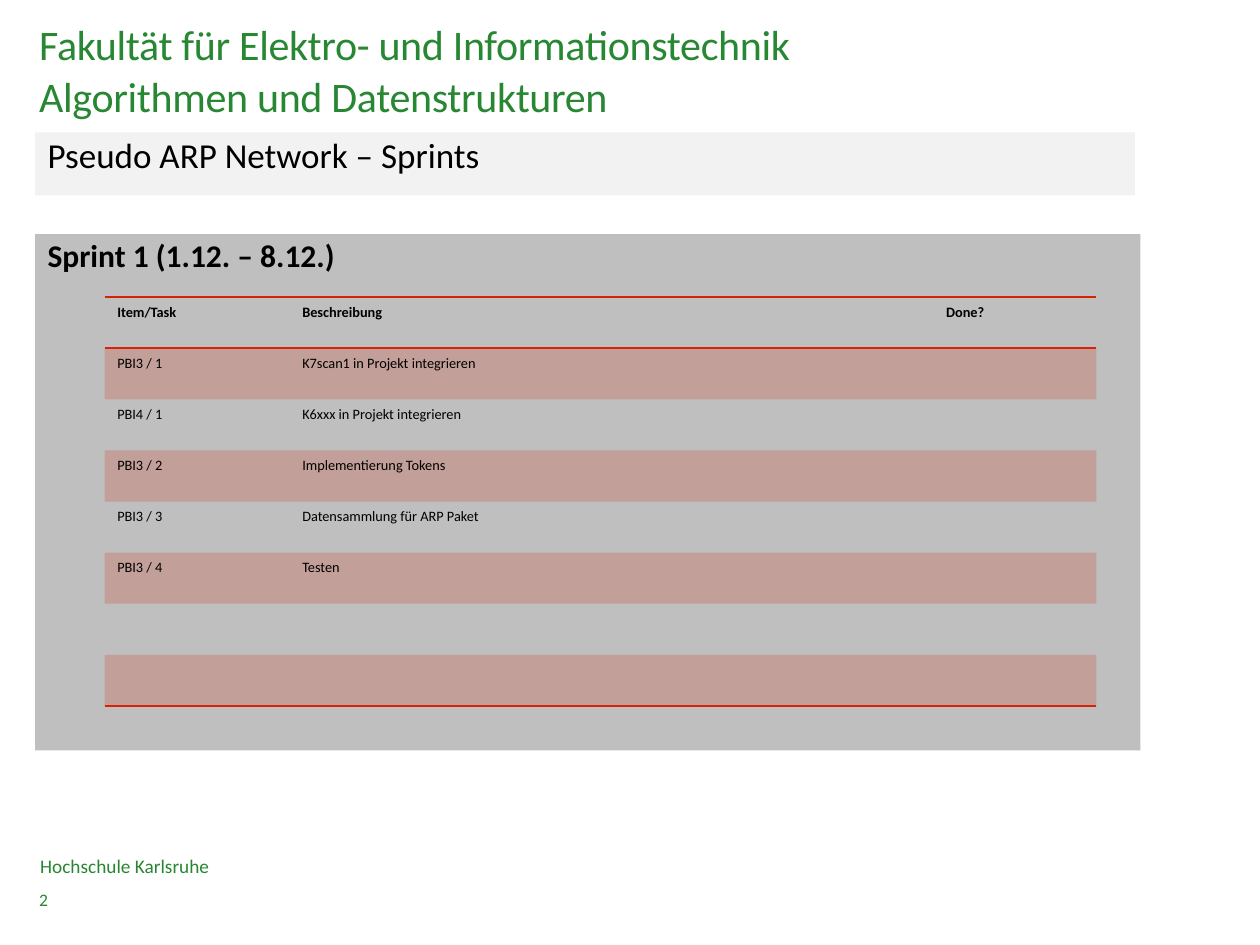
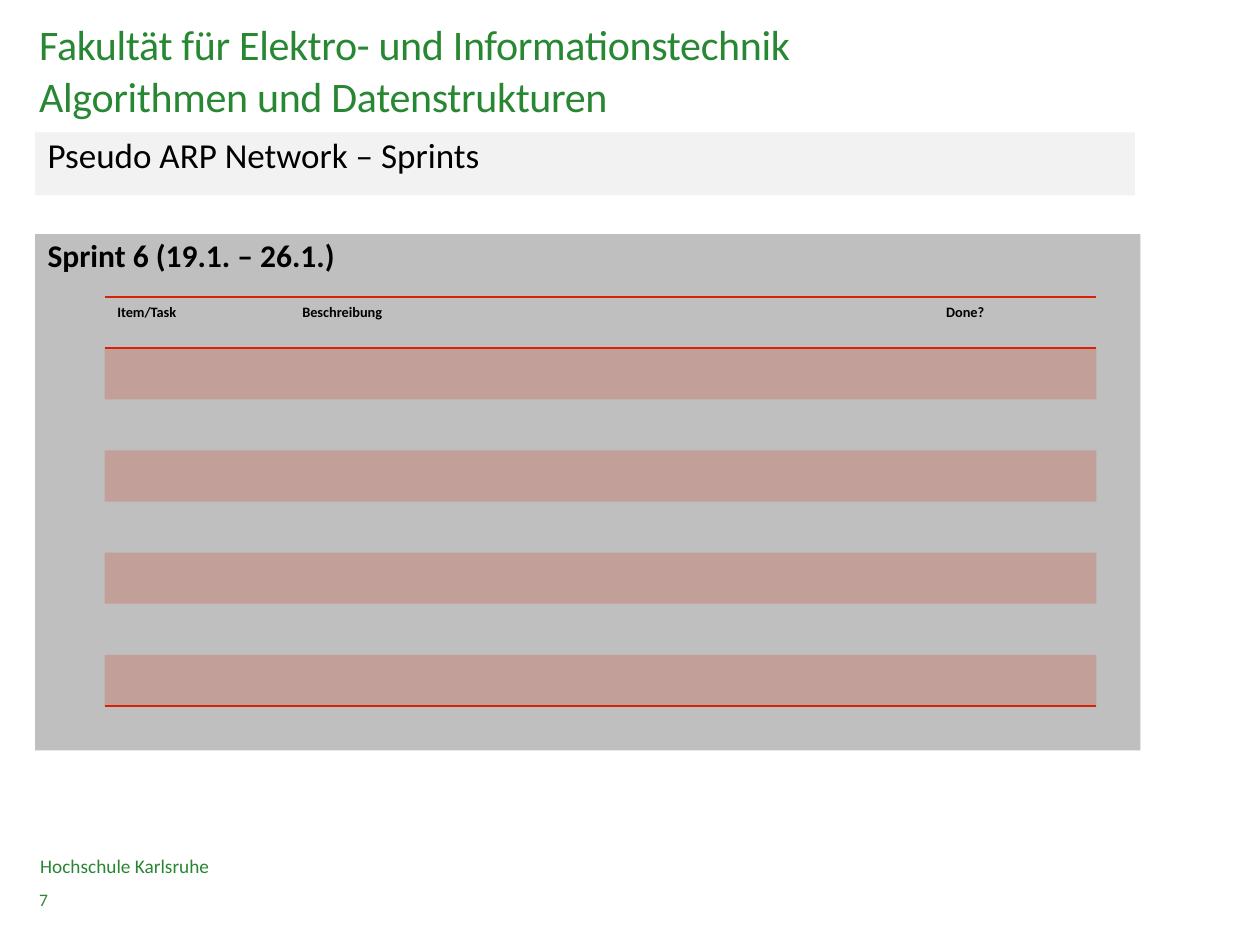
from dataclasses import dataclass

from lxml import etree
from pptx import Presentation
from pptx.dml.color import RGBColor
from pptx.enum.shapes import MSO_SHAPE
from pptx.enum.text import MSO_ANCHOR, MSO_AUTO_SIZE, PP_ALIGN
from pptx.oxml.ns import qn
from pptx.util import Cm, Pt

RECT = MSO_SHAPE.RECTANGLE
TOP, MIDDLE = MSO_ANCHOR.TOP, MSO_ANCHOR.MIDDLE
LEFT = PP_ALIGN.LEFT
NO_AUTOFIT = MSO_AUTO_SIZE.NONE
NO_GRID_STYLE = "{2D5ABB26-0587-4C30-8999-92F81FD0307C}"
NO_INSETS = dict.fromkeys(
    ("margin_left", "margin_top", "margin_right", "margin_bottom"), 0)


@dataclass(frozen=True)
class Theme:
    font: str = "Calibri"
    title_green: str = "288732"
    footer_green: str = "288632"
    black: str = "000000"
    bar: str = "F2F2F2"
    panel: str = "BFBFBF"
    accent: str = "D62305"
    band_opacity: int = 20
    rule_pt: float = 1
    title_pt: float = 24
    title_leading_pt: float = 30
    topic_pt: float = 20
    sprint_pt: float = 18
    footer_pt: float = 11
    number_pt: float = 10
    table_pt: float = 8.2


FACULTY = ["Fakultät für Elektro- und Informationstechnik",
           "Algorithmen und Datenstrukturen"]
TOPIC = "Pseudo ARP Network – Sprints"
SCHOOL = "Hochschule Karlsruhe"
HEADER = ("Item/Task", "Beschreibung", "Done?")
COLUMN_CM = (3.73, 12.98, 3.28)
ROW_CM = 1.03
TASK_ROWS = 7

SPRINTS = [
    (2, "Sprint 1 (1.12. – 8.12.)", [
        ("PBI3 / 1", "K7scan1 in Projekt integrieren"),
        ("PBI4 / 1", "K6xxx in Projekt integrieren"),
        ("PBI3 / 2", "Implementierung Tokens"),
        ("PBI3 / 3", "Datensammlung für ARP Paket"),
        ("PBI3 / 4", "Testen"),
    ]),
    (7, "Sprint 6 (19.1. – 26.1.)", []),
]


def set_attrs(obj, formats):
    for name, value in formats.items():
        setattr(obj, name, value)


def cm_box(*lengths):
    return [Cm(v) for v in lengths]


class Deck:
    def __init__(self, theme):
        self.theme = theme
        self.prs = Presentation()
        self.prs.slide_width, self.prs.slide_height = Cm(25.4), Cm(19.05)
        self.s = None

    def new_slide(self):
        self.s = self.prs.slides.add_slide(self.prs.slide_layouts[5])

    def fill_text(self, tf, lines, size, color, bold=False, spc=None, leading=None, **frame):
        """Fill a text frame, one paragraph a line; frame holds its own settings."""
        set_attrs(tf, {"word_wrap": True, **frame})
        for i, line in enumerate(lines):
            p = tf.paragraphs[0] if i == 0 else tf.add_paragraph()
            set_attrs(p, {"alignment": LEFT, "line_spacing": leading})
            r = p.add_run()
            r.text = line
            set_attrs(r.font, {"name": self.theme.font, "size": Pt(size), "bold": bold})
            r.font.color.rgb = RGBColor.from_string(color)
            if spc is not None:
                r._r.get_or_add_rPr().set("spc", str(spc))

    def title(self, lines):
        t, sp = self.theme, self.s.shapes.title
        sp.left, sp.top, sp.width, sp.height = cm_box(0.79, 0.33, 22.1, 2.34)
        self.fill_text(sp.text_frame, lines, t.title_pt, t.title_green, spc=-20,
                       leading=Pt(t.title_leading_pt), vertical_anchor=TOP,
                       auto_size=NO_AUTOFIT, **NO_INSETS)

    def label(self, text, box, size, anchor=TOP):
        sp = self.s.shapes.add_textbox(*cm_box(*box))
        self.fill_text(sp.text_frame, [text], size, self.theme.footer_green,
                       vertical_anchor=anchor, **NO_INSETS)

    def panel(self, text, box, fill, size, bold=False):
        sp = self.s.shapes.add_shape(RECT, *cm_box(*box))
        sp.shadow.inherit = False
        sp.fill.solid()
        sp.fill.fore_color.rgb = RGBColor.from_string(fill)
        sp.line.fill.background()
        self.fill_text(sp.text_frame, [text], size, self.theme.black, bold,
                       leading=0.9, vertical_anchor=TOP)

    def rule(self, cell, *sides):
        """Draw accent borders; sides are given in schema order (T before B)."""
        tc_pr = cell._tc.get_or_add_tcPr()
        for i, side in enumerate(sides):
            ln = etree.Element(qn(f"a:ln{side}"), w=str(Pt(self.theme.rule_pt)))
            fill = etree.SubElement(ln, qn("a:solidFill"))
            etree.SubElement(fill, qn("a:srgbClr"), val=self.theme.accent)
            tc_pr.insert(i, ln)

    def band(self, cell):
        cell.fill.solid()
        cell.fill.fore_color.rgb = RGBColor.from_string(self.theme.accent)
        color = cell._tc.tcPr.find(f".//{qn('a:srgbClr')}")
        etree.SubElement(color, qn("a:alpha"), val=str(self.theme.band_opacity * 1000))

    def task_table(self, tasks):
        t, rows = self.theme, [HEADER, *tasks]
        size = cm_box(2.11, 5.99, sum(COLUMN_CM), ROW_CM * (TASK_ROWS + 1))
        table = self.s.shapes.add_table(TASK_ROWS + 1, len(HEADER), *size).table
        table._tbl.tblPr.find(qn("a:tableStyleId")).text = NO_GRID_STYLE
        table.horz_banding = False
        for column, width in zip(table.columns, COLUMN_CM):
            column.width = Cm(width)
        for i, row in enumerate(table.rows):
            row.height = Cm(ROW_CM)
            values = rows[i] if i < len(rows) else ()
            for j, cell in enumerate(row.cells):
                cell.margin_bottom = 0
                if i % 2:
                    self.band(cell)
                else:
                    cell.fill.background()
                if i == 0:
                    self.rule(cell, "T", "B")
                elif i == TASK_ROWS:
                    self.rule(cell, "B")
                if j < len(values):
                    self.fill_text(cell.text_frame, [values[j]], t.table_pt,
                                   t.black, bold=i == 0)

    def sprint_slide(self, number, heading, tasks):
        t = self.theme
        self.new_slide()
        self.title(FACULTY)
        self.label(str(number), (0.79, 17.93, 8.59, 0.28), t.number_pt)
        self.label(SCHOOL, (0.81, 17.32, 22.07, 0.28), t.footer_pt, MIDDLE)
        self.panel(TOPIC, (0.71, 2.67, 22.17, 1.27), t.bar, t.topic_pt)
        self.panel(heading, (0.71, 4.72, 22.28, 10.41), t.panel, t.sprint_pt, bold=True)
        self.task_table(tasks)


def main():
    deck = Deck(Theme())
    for sprint in SPRINTS:
        deck.sprint_slide(*sprint)
    deck.prs.save("out.pptx")


if __name__ == "__main__":
    main()
